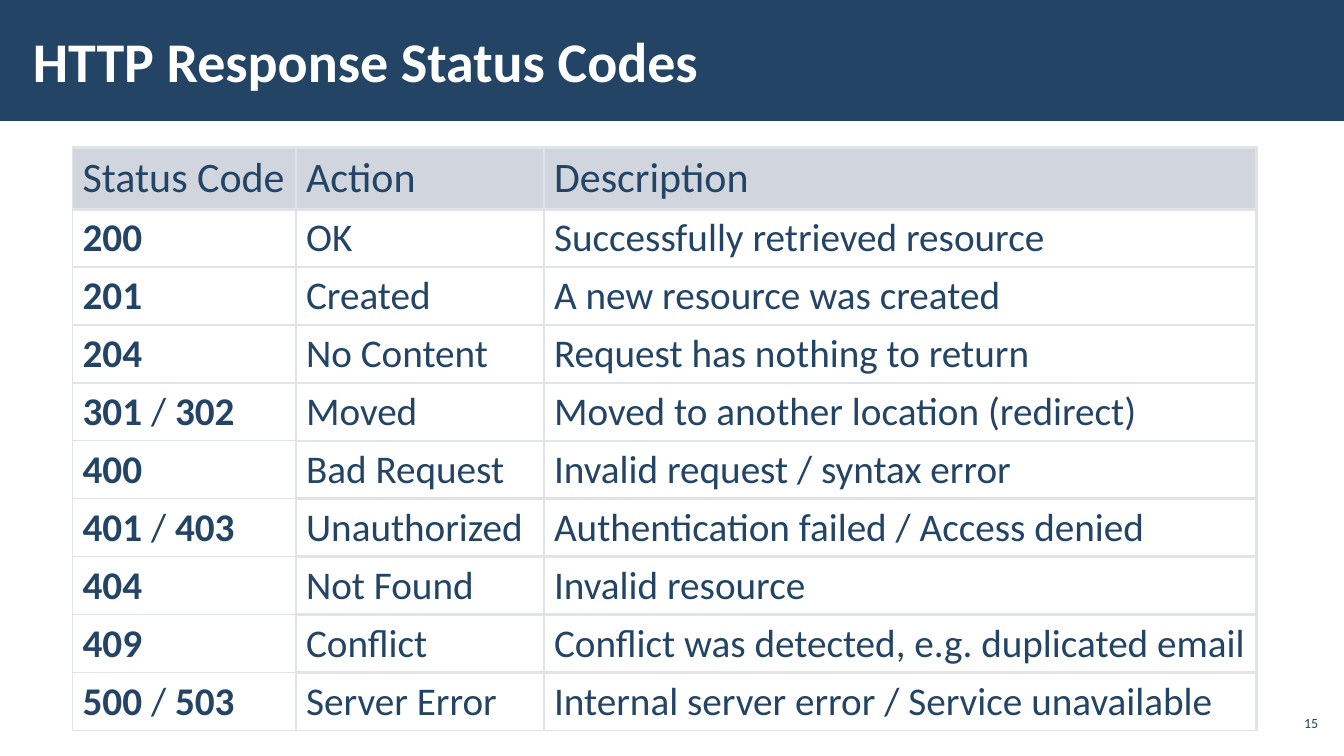
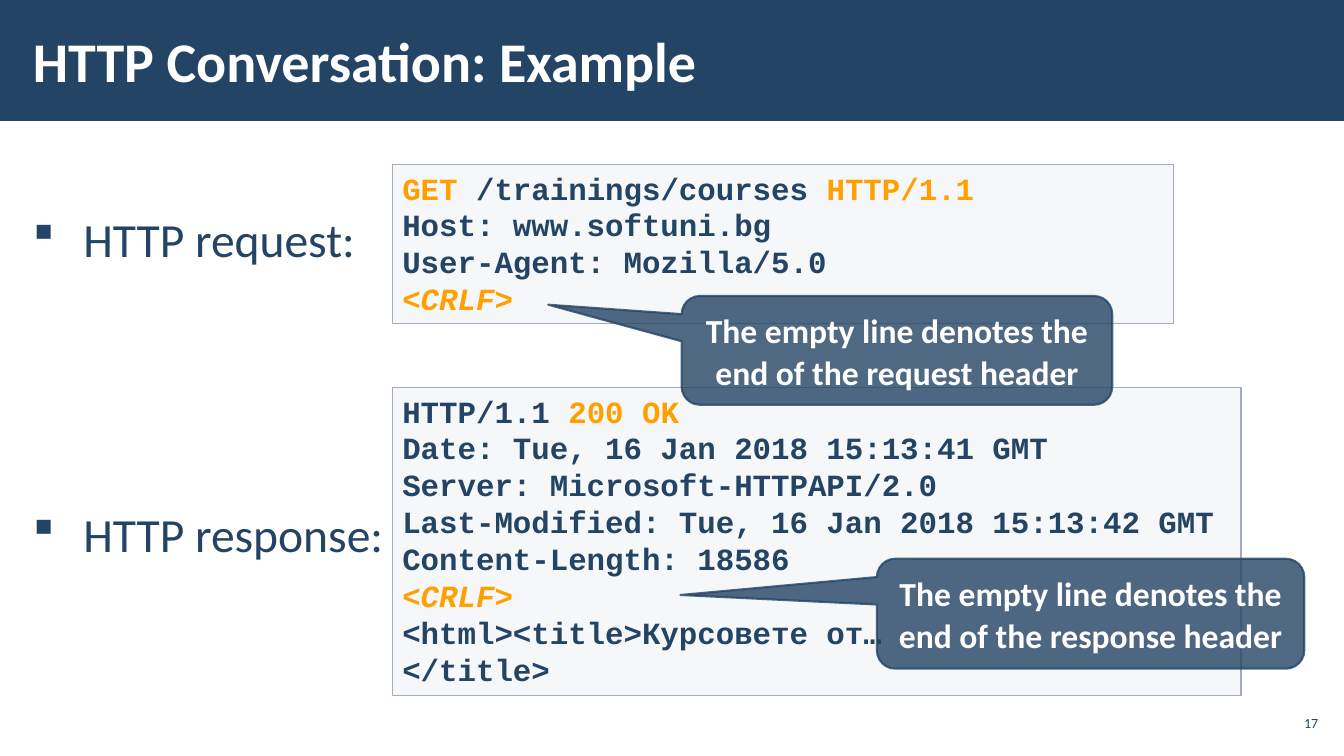
from lxml.etree import SubElement
from pptx import Presentation
from pptx.dml.color import RGBColor
from pptx.enum.shapes import MSO_SHAPE
from pptx.enum.text import MSO_ANCHOR, PP_ALIGN
from pptx.oxml.ns import qn
from pptx.util import Cm, Pt

NAVY = RGBColor(0x23, 0x44, 0x65)
WHITE = RGBColor(0xFF, 0xFF, 0xFF)
ORANGE = RGBColor(0xFF, 0xA0, 0x00)
HEADER_GREY = RGBColor(0xD1, 0xD5, 0xDD)
BORDER_GREY = RGBColor(0xE0, 0xE3, 0xE9)
CODE_GREY = RGBColor(0xF6, 0xF7, 0xF8)
OUTLINE_GREY = RGBColor(0xA3, 0xAB, 0xBC)

presentation = Presentation()
presentation.slide_width = Cm(33.87)
presentation.slide_height = Cm(19.05)


def add_run(paragraph, text, size, color=NAVY, bold=False, italic=False, face="Calibri"):
    run = paragraph.add_run()
    run.text = text
    run.font.name = face
    run.font.size = Pt(size)
    run.font.color.rgb = color
    run.font.bold = bold
    run.font.italic = italic


def add_slide(title, number):
    """Add a blank slide with the title band, the title and the page number."""
    slide = presentation.slides.add_slide(presentation.slide_layouts[6])
    band = slide.shapes.add_shape(MSO_SHAPE.RECTANGLE, 0, 0, presentation.slide_width, Cm(3.05))
    band.shadow.inherit = False
    band.fill.solid()
    band.fill.fore_color.rgb = NAVY
    band.line.fill.background()

    heading = slide.shapes.add_textbox(Cm(0.53), Cm(0.28), Cm(26.42), Cm(2.46)).text_frame
    heading.margin_left = heading.margin_right = Cm(0.3)
    add_run(heading.paragraphs[0], title, 40, WHITE, bold=True)

    page = slide.shapes.add_textbox(Cm(32.13), Cm(17.78), Cm(1.19), Cm(0.86)).text_frame
    page.margin_left = page.margin_right = Cm(0.1)
    page.paragraphs[0].alignment = PP_ALIGN.RIGHT
    add_run(page.paragraphs[0], str(number), 10)

    for frame in (heading, page):
        frame.word_wrap = True
        frame.vertical_anchor = MSO_ANCHOR.MIDDLE
        frame.margin_top = frame.margin_bottom = Cm(0.1)
    return slide


# Status codes
status_slide = add_slide("HTTP Response Status Codes", 15)
STATUS_ROWS = [
    ("Status Code", "Action", "Description"),
    ("200", "OK", "Successfully retrieved resource"),
    ("201", "Created", "A new resource was created"),
    ("204", "No Content", "Request has nothing to return"),
    ("301 / 302", "Moved", "Moved to another location (redirect)"),
    ("400", "Bad Request", "Invalid request / syntax error"),
    ("401 / 403", "Unauthorized", "Authentication failed / Access denied"),
    ("404", "Not Found", "Invalid resource"),
    ("409", "Conflict", "Conflict was detected, e.g. duplicated email"),
    ("500 / 503", "Server Error", "Internal server error / Service unavailable"),
]
COLUMN_WIDTHS = (5.63, 6.25, 17.96)
HEADER_HEIGHT, ROW_HEIGHT = 1.56, 1.46
last_row = len(STATUS_ROWS) - 1

status_table = status_slide.shapes.add_table(
    len(STATUS_ROWS), len(COLUMN_WIDTHS), Cm(1.83), Cm(3.71),
    Cm(sum(COLUMN_WIDTHS)), Cm(HEADER_HEIGHT + ROW_HEIGHT * last_row)).table
status_table.first_row = False
status_table.horz_banding = False
for column, width in zip(status_table.columns, COLUMN_WIDTHS):
    column.width = Cm(width)

for r, texts in enumerate(STATUS_ROWS):
    is_header = r == 0
    status_table.rows[r].height = Cm(HEADER_HEIGHT if is_header else ROW_HEIGHT)
    for c, text in enumerate(texts):
        cell = status_table.cell(r, c)
        is_code = c == 0 and not is_header
        thin_sides = {
            "L": c == 0,
            "R": False,
            "T": is_code and r > 1,
            "B": is_code or r == last_row,
        }
        cell_properties = cell._tc.get_or_add_tcPr()
        for side, thin in thin_sides.items():
            border = SubElement(cell_properties, qn(f"a:ln{side}"), w=str(Pt(1 if thin else 2.25)))
            border_fill = SubElement(border, qn("a:solidFill"))
            SubElement(border_fill, qn("a:srgbClr"), val=str(BORDER_GREY))
        cell.fill.solid()
        cell.fill.fore_color.rgb = HEADER_GREY if is_header else WHITE

        paragraph = cell.text_frame.paragraphs[0]
        parts = text.partition("/") if is_code else (text,)
        for part in filter(None, parts):
            add_run(paragraph, part, 30 if is_header else 28, bold=is_code and part != "/")

# Conversation
conversation_slide = add_slide("HTTP Conversation: Example", 17)
topics = conversation_slide.shapes.add_textbox(Cm(0.53), Cm(5.19), Cm(9.35), Cm(10)).text_frame
topics.word_wrap = True
topics.margin_left, topics.margin_right = Cm(0.3), 0
topics.margin_top = topics.margin_bottom = Cm(0.1)
for i, topic in enumerate(("HTTP request:", "HTTP response:")):
    paragraph = topics.paragraphs[0] if i == 0 else topics.add_paragraph()
    bullet_properties = paragraph._p.get_or_add_pPr()
    bullet_properties.set("marL", str(Cm(1.27)))
    bullet_properties.set("indent", str(-Cm(1.27)))
    SubElement(bullet_properties, qn("a:buFont"), typeface="Wingdings", charset="2")
    SubElement(bullet_properties, qn("a:buChar"), char="§")
    if i > 0:
        paragraph.space_before = Pt(170)
    add_run(paragraph, topic, 34)

# Each code line is a list of (text, highlighted) runs
EMPTY_LINE = [("<CRLF>", True)]
REQUEST_LINES = [
    [("GET", True), (" /trainings/courses ", False), ("HTTP/1.1", True)],
    [("Host: www.softuni.bg", False)],
    [("User-Agent: Mozilla/5.0", False)],
    EMPTY_LINE,
]
RESPONSE_LINES = [
    [("HTTP/1.1 ", False), ("200 OK", True)],
    [("Date: Tue, 16 Jan 2018 15:13:41 GMT", False)],
    [("Server: Microsoft-HTTPAPI/2.0", False)],
    [("Last-Modified: Tue, 16 Jan 2018 15:13:42 GMT", False)],
    [("Content-Length: 18586", False)],
    EMPTY_LINE,
    [("<html><title>Курсовете от…", False)],
    [("</title>", False)],
]
# Message, code lines, code box (top, width, height), callout box, callout tip
MESSAGES = [
    ("response", RESPONSE_LINES, (9.76, 21.39, 7.77), (22.1, 14.08, 10.77, 2.77), (-0.96, -0.17)),
    ("request", REQUEST_LINES, (4.14, 19.69, 4.01), (17.18, 7.46, 10.85, 2.74), (-0.81, -0.42)),
]
for message, lines, code_box, callout_box, tip in MESSAGES:
    code = conversation_slide.shapes.add_shape(
        MSO_SHAPE.RECTANGLE, Cm(9.89), *map(Cm, code_box))
    code.shadow.inherit = False
    code.fill.solid()
    code.fill.fore_color.rgb = CODE_GREY
    code.line.color.rgb = OUTLINE_GREY
    code.line.width = Pt(1)
    code.text_frame.word_wrap = True
    code.text_frame.vertical_anchor = MSO_ANCHOR.TOP
    for i, line in enumerate(lines):
        paragraph = code.text_frame.paragraphs[0] if i == 0 else code.text_frame.add_paragraph()
        paragraph.alignment = PP_ALIGN.LEFT
        for text, highlighted in line:
            add_run(paragraph, text, 22, ORANGE if highlighted else NAVY, bold=True,
                    italic=line is EMPTY_LINE, face="Courier New")

    callout = conversation_slide.shapes.add_shape(
        MSO_SHAPE.ROUNDED_RECTANGULAR_CALLOUT, *map(Cm, callout_box))
    callout.adjustments[0], callout.adjustments[1] = tip
    callout.shadow.inherit = False
    callout.fill.solid()
    callout.fill.fore_color.rgb = NAVY
    callout.line.color.rgb = NAVY
    callout.line.width = Pt(1.5)
    for color in list(callout._element.spPr.iter(qn("a:srgbClr"))):
        SubElement(color, qn("a:alpha"), val="80000")
    callout.text_frame.word_wrap = True
    callout.text_frame.vertical_anchor = MSO_ANCHOR.MIDDLE
    paragraph = callout.text_frame.paragraphs[0]
    paragraph.alignment = PP_ALIGN.CENTER
    paragraph.line_spacing = Pt(30)
    add_run(paragraph, f"The empty line denotes the end of the {message} header", 24, WHITE, bold=True)

presentation.save("out.pptx")
